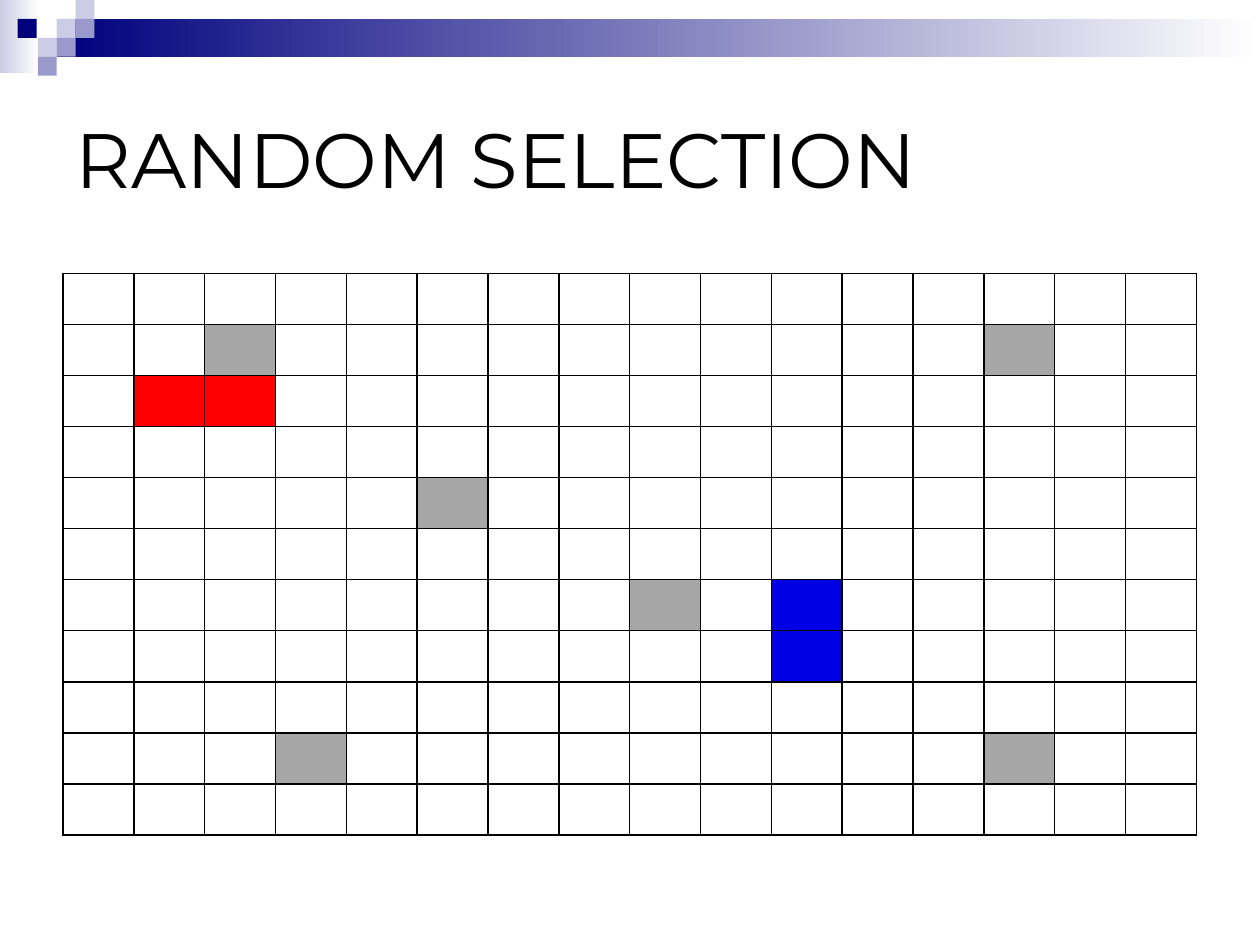
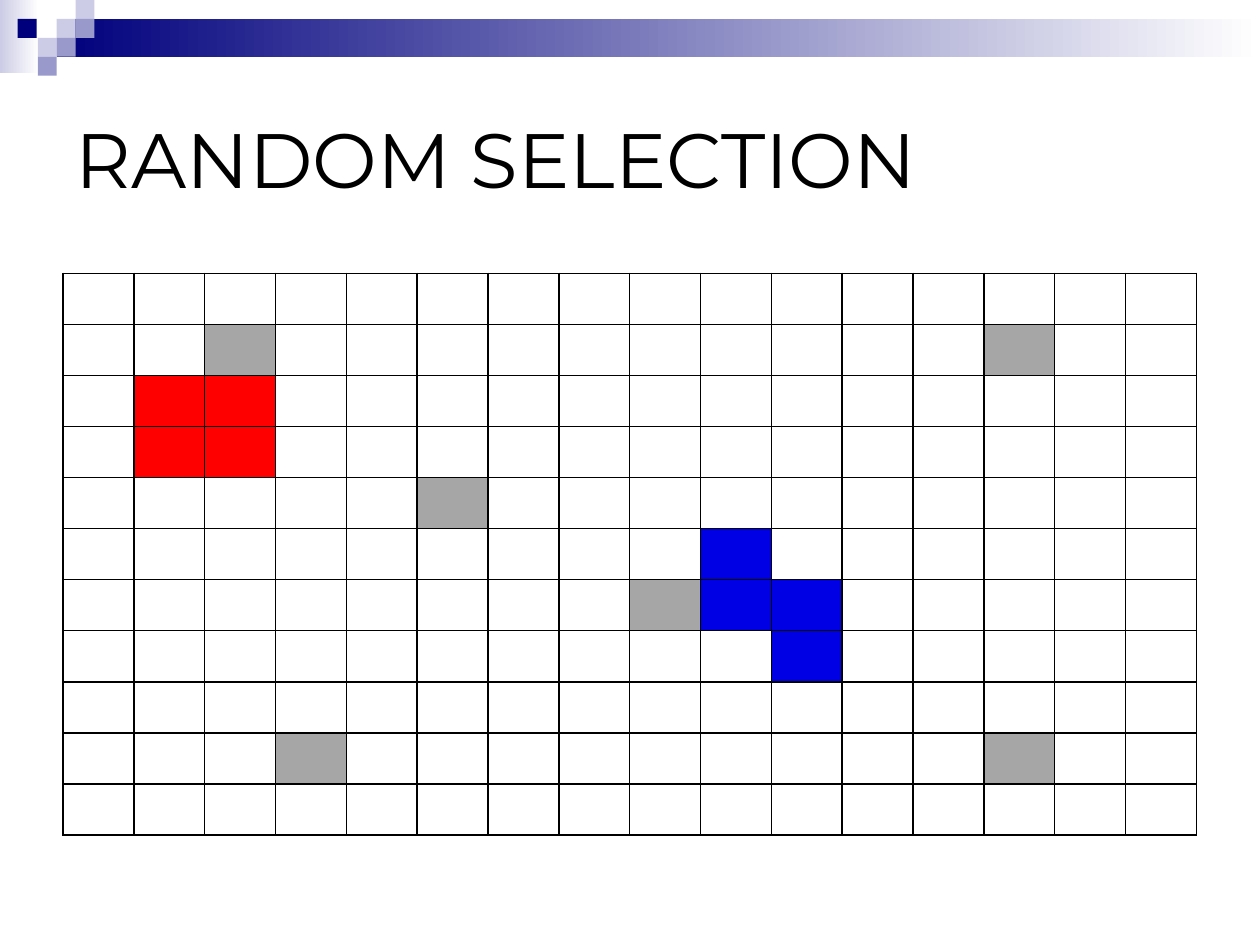
import lxml.etree
import pptx
import pptx.dml.color
import pptx.enum.shapes
import pptx.enum.text
import pptx.oxml.ns
import pptx.util

Inches = pptx.util.Inches

COLORS = {
    "white": "FFFFFF",
    "black": "000000",
    "navy": "00007D",
    "lavender": "CCCCE6",
    "periwinkle": "9999CC",
    "gray": "A6A6A6",
    "red": "FF0000",
    "blue": "0000E4",
}
TITLE_FONT = "Montserrat"
TITLE_BOX = (0.5, 0.5, 9, 1.5)
GRID_BOX = (0.5, 2.17, 9, 4.46)
GRID_ROWS, GRID_COLUMNS = 11, 16
HEADER_BOX = (0, 0, 10, 0.6)
SQUARE = 0.15
HEADER_SQUARES = [
    (0.45, 0.15, "lavender"),
    (0.6, 0, "lavender"),
    (0.6, 0.15, "periwinkle"),
    (0.3, 0.3, "lavender"),
    (0.14, 0.15, "navy"),
    (0.45, 0.3, "periwinkle"),
    (0.3, 0.45, "periwinkle"),
]

GRAY_CELLS = [(1, 2), (1, 13), (4, 5), (6, 8), (9, 3), (9, 13)]
SELECTIONS = [
    {
        "gray": GRAY_CELLS,
        "red": [(2, 1), (2, 2)],
        "blue": [(6, 10), (7, 10)],
    },
    {
        "gray": GRAY_CELLS,
        "red": [(2, 1), (2, 2), (3, 1), (3, 2)],
        "blue": [(5, 9), (6, 9), (6, 10), (7, 10)],
    },
]


def rgb(name):
    """Return the named colour."""
    return pptx.dml.color.RGBColor.from_string(COLORS[name])


def add_rectangle(shapes, box, *color_names):
    """Add a borderless rectangle, solid or fading from one colour to another."""
    shape = shapes.add_shape(
        pptx.enum.shapes.MSO_SHAPE.RECTANGLE, *map(Inches, box))
    shape.shadow.inherit = False
    shape.line.fill.background()
    if len(color_names) == 1:
        shape.fill.solid()
        shape.fill.fore_color.rgb = rgb(color_names[0])
    else:
        shape.fill.gradient()
        shape.fill.gradient_angle = 0
        for stop, name in zip(shape.fill.gradient_stops, color_names):
            stop.color.rgb = rgb(name)


def add_header(slide, box):
    """Draw the fading bands and the scattered squares at the top."""
    left, top, width, height = box
    shapes = slide.shapes.add_group_shape().shapes
    add_rectangle(shapes, (left, top, 0.31, height - 0.02), "lavender", "white")
    add_rectangle(
        shapes, (left + 3 * SQUARE, top + SQUARE, width - 3 * SQUARE, 2 * SQUARE),
        "navy", "white")
    for x, y, name in HEADER_SQUARES:
        add_rectangle(shapes, (left + x, top + y, SQUARE, SQUARE), name)


def add_title(slide, box, text):
    """Fill and format the title placeholder."""
    title = slide.shapes.title
    title.left, title.top, title.width, title.height = map(Inches, box)
    title.text_frame.vertical_anchor = pptx.enum.text.MSO_ANCHOR.MIDDLE
    title.text_frame.text = text
    paragraph = title.text_frame.paragraphs[0]
    paragraph.alignment = pptx.enum.text.PP_ALIGN.LEFT
    paragraph.font.name = TITLE_FONT
    paragraph.font.size = pptx.util.Pt(44)
    paragraph.font.color.rgb = rgb("black")


def set_borders(cell):
    """Give a cell a thin black line on each side."""
    qualified = pptx.oxml.ns.qn
    properties = cell._tc.get_or_add_tcPr()
    for side in ("a:lnL", "a:lnR", "a:lnT", "a:lnB"):
        line = lxml.etree.SubElement(
            properties, qualified(side), w=str(pptx.util.Pt(1)))
        fill = lxml.etree.SubElement(line, qualified("a:solidFill"))
        lxml.etree.SubElement(fill, qualified("a:srgbClr"), val=COLORS["black"])


def add_grid(slide, box, selection):
    """Draw the grid and colour its selected cells."""
    left, top, width, height = map(Inches, box)
    table = slide.shapes.add_table(
        GRID_ROWS, GRID_COLUMNS, left, top, width, height).table
    table.first_row = table.horz_banding = False
    cell_colors = {
        place: name for name, places in selection.items() for place in places}
    for row in range(GRID_ROWS):
        for column in range(GRID_COLUMNS):
            cell = table.cell(row, column)
            cell.margin_top = cell.margin_bottom = Inches(0.02)
            set_borders(cell)
            cell.fill.solid()
            cell.fill.fore_color.rgb = rgb(cell_colors.get((row, column), "white"))


def add_selection_slide(presentation, selection):
    """Add a slide with the header, the title and one state of the grid."""
    slide = presentation.slides.add_slide(
        presentation.slide_layouts.get_by_name("Title Only"))
    add_header(slide, HEADER_BOX)
    add_title(slide, TITLE_BOX, "RANDOM SELECTION")
    add_grid(slide, GRID_BOX, selection)


def main():
    """Build and save the presentation."""
    presentation = pptx.Presentation()
    presentation.slide_width = Inches(10)
    presentation.slide_height = Inches(7.5)
    for selection in SELECTIONS:
        add_selection_slide(presentation, selection)
    presentation.save("out.pptx")


if __name__ == "__main__":
    main()
